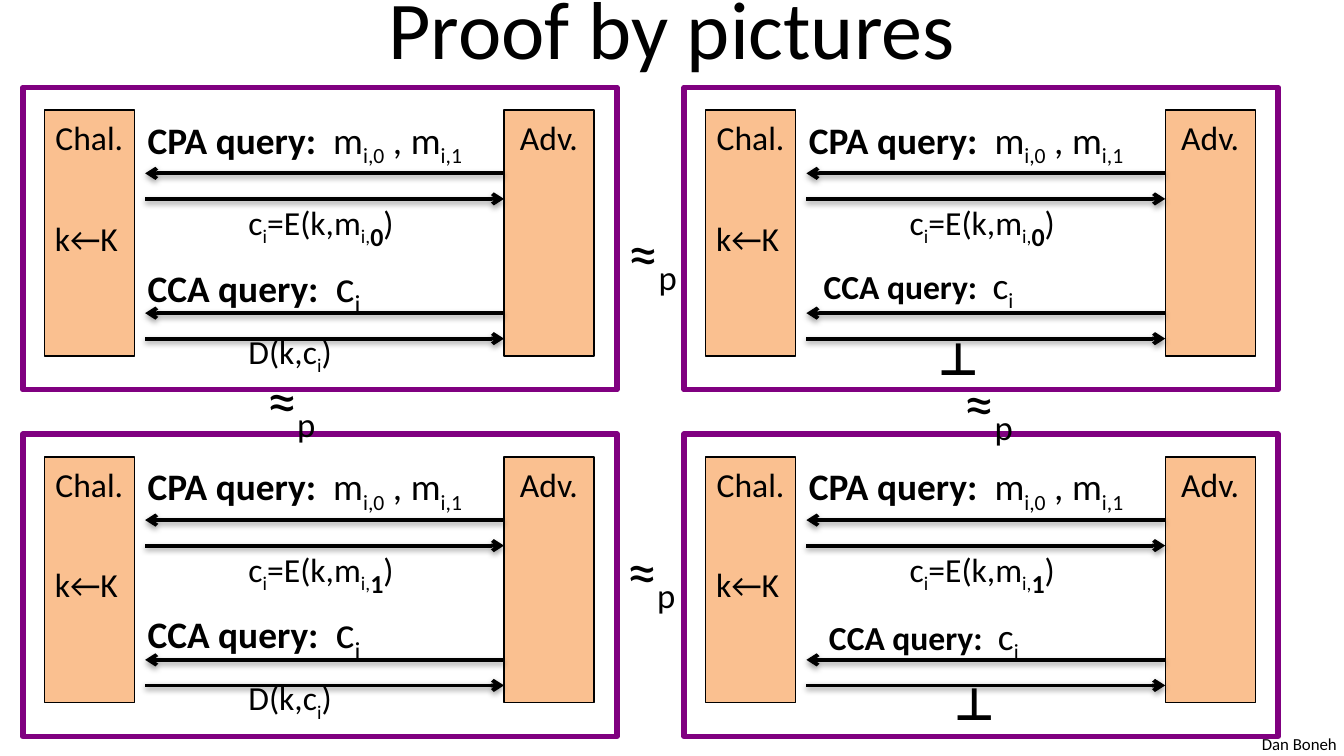
from lxml import etree
from pptx import Presentation
from pptx.dml.color import RGBColor
from pptx.enum.shapes import MSO_CONNECTOR, MSO_SHAPE
from pptx.enum.text import MSO_ANCHOR, PP_ALIGN
from pptx.oxml import parse_xml
from pptx.util import Inches, Pt

RECT = MSO_SHAPE.RECTANGLE
STRAIGHT = MSO_CONNECTOR.STRAIGHT
LEFT, CENTER = PP_ALIGN.LEFT, PP_ALIGN.CENTER
TOP, MIDDLE = MSO_ANCHOR.TOP, MSO_ANCHOR.MIDDLE
NS = "http://schemas.openxmlformats.org/drawingml/2006/main"
SHADOW = (
    f'<a:effectLst xmlns:a="{NS}">'
    '<a:outerShdw blurRad="40000" dist="20000" dir="5400000" rotWithShape="0">'
    '<a:srgbClr val="000000"><a:alpha val="38000"/></a:srgbClr>'
    '</a:outerShdw></a:effectLst>'
)


def color(value):
    return RGBColor.from_string(value)


def write(sp, runs, first=True, align=LEFT, wrap=True, anchor=TOP, before=0):
    tf = sp.text_frame
    frame = {"word_wrap": wrap, "vertical_anchor": anchor}
    if align == LEFT:
        frame["margin_right"] = 0
    for name, value in frame.items():
        setattr(tf, name, value)
    p = tf.paragraphs[0] if first else tf.add_paragraph()
    p.alignment = align
    if before:
        p.space_before = Pt(before)
    for text, size, bold, sub in runs:
        r = p.add_run()
        r.text = text
        for name, value in {"name": "Calibri", "size": Pt(size), "bold": bold}.items():
            setattr(r.font, name, value)
        r.font.color.rgb = color("000000")
        if sub:
            r._r.get_or_add_rPr().set("baseline", "-25000")


prs = Presentation()
prs.slide_width, prs.slide_height = Inches(10), Inches(10) * 9 // 16
s = prs.slides.add_slide(prs.slide_layouts[6])

sp = s.shapes.add_textbox(Inches(9.29), Inches(5.41), Inches(0.7), Inches(0.2))
write(sp, [("Dan Boneh", 9, False, False)])
sp = s.shapes.add_textbox(Inches(0.5), Inches(-0.27), Inches(9), Inches(0.94))
write(sp, [("Proof by pictures", 44, False, False)], align=CENTER, anchor=MIDDLE)

cpa = [("CPA query:  ", 20, True, False), ("m", 20, False, False), ("i,0", 20, False, True),
       (" , m", 20, False, False), ("i,1", 20, False, True)]
decryption = [("D(k,c", 18, False, False), ("i", 18, False, True), (")", 18, False, False)]
rejection = [("⊥", 24, True, False)]
short_cca = [("CCA query:  ", 18, True, False), ("c", 20, False, False), ("i", 20, False, True)]
long_cca = [("CCA query:  ", 20, True, False), ("c", 24, False, False), ("i", 24, False, True)]
reject_spots = [((6.03, 1.9), (6.88, 2.41)), ((6.07, 4.51), (7, 4.98))]

for col in range(2):
    for row in range(2):
        x, y = col * 4.92, row * 2.58
        for left, name in ((0.33, "Chal."), (3.75, "Adv.")):
            sp = s.shapes.add_shape(RECT, Inches(x + left), Inches(y + 0.82), Inches(0.67), Inches(1.83))
            sp.shadow.inherit = False
            sp.fill.solid()
            sp.fill.fore_color.rgb = color("FAC090")
            sp.line.color.rgb = color("000000")
            sp.line.width = Pt(0.75)
            write(sp, [(name, 18, False, False)], align=CENTER, wrap=False)

        sp = s.shapes.add_shape(RECT, Inches(x + 0.17), Inches(y + 0.65), Inches(4.42), Inches(2.25))
        sp.shadow.inherit = False
        sp.fill.background()
        sp.line.color.rgb = color("800080")
        sp.line.width = Pt(3)

        for start, end, height in ((3.75, 1.08, 1.29), (1.08, 3.75, 1.48),
                                   (3.75, 1.08, 2.33), (1.08, 3.75, 2.52)):
            arrow = s.shapes.add_connector(STRAIGHT, Inches(x + start), Inches(y + height),
                                           Inches(x + end), Inches(y + height))
            arrow.line.color.rgb = color("000000")
            arrow.line.width = Pt(2)
            etree.SubElement(arrow.line._get_or_add_ln(), f"{{{NS}}}tailEnd", type="arrow")
            arrow._element.spPr.append(parse_xml(SHADOW))

        encryption = [("c", 18, False, False), ("i", 18, False, True), ("=E(k,m", 18, False, False),
                      ("i,", 18, False, True), (str(row), 24, True, True), (")", 18, False, False)]
        labels = [(x + 0.31, y + 1.57, 0.7, 0.4, [("k←K", 18, False, False)]),
                  (x + 1.75, y + 1.37, 1.32, 0.4, encryption)]
        if col == 0:
            labels.append((1.75, y + 2.41, 0.83, 0.4, decryption))
        else:
            query, answer = reject_spots[row]
            labels += [(*query, 1.63, 0.44, short_cca), (*answer, 0.54, 0.5, rejection)]
        for left, top, width, height, runs in labels:
            sp = s.shapes.add_textbox(Inches(left), Inches(top), Inches(width), Inches(height))
            write(sp, runs)

        sp = s.shapes.add_textbox(Inches(x + 1), Inches(y + 0.82), Inches(2.63),
                                  Inches(0.44 if col else 1.51))
        write(sp, cpa)
        if col == 0:
            write(sp, long_cca, first=False, before=48)

for left, top in ((4.58, 1.56), (4.57, 3.92), (7.08, 2.67), (1.89, 2.65)):
    sp = s.shapes.add_textbox(Inches(left), Inches(top), Inches(0.58), Inches(0.64))
    write(sp, [("≈", 32, False, False), ("p", 32, False, True)])

prs.save("out.pptx")
